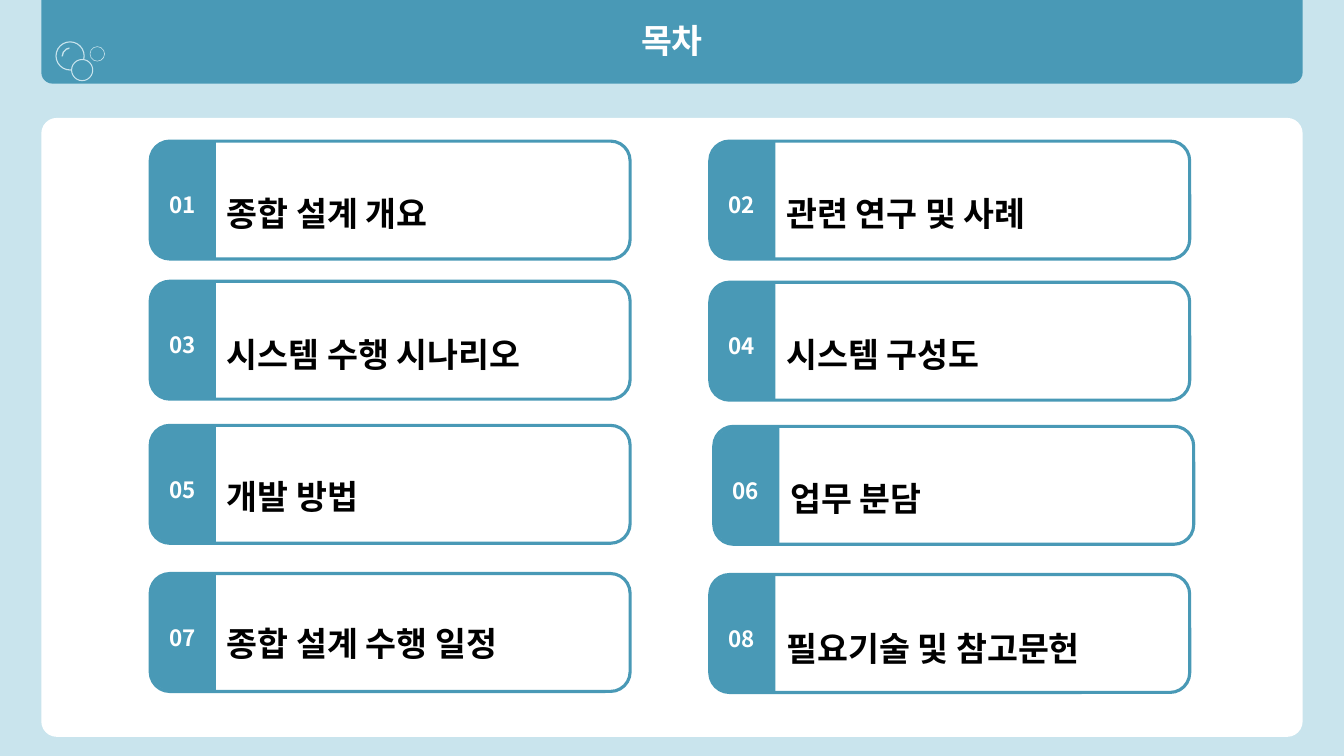
"""Build the table-of-contents slide with eight numbered cards."""
import math

import pptx
import pptx.dml.color
import pptx.enum.shapes
import pptx.enum.text
import pptx.oxml
import pptx.oxml.ns
import pptx.util

Inches = pptx.util.Inches
MSO = pptx.enum.shapes.MSO_SHAPE
ALIGN = pptx.enum.text.PP_ALIGN
RGBColor = pptx.dml.color.RGBColor
TEAL = RGBColor(0x49, 0x99, 0xB6)
PALE = RGBColor(0xC9, 0xE4, 0xED)
WHITE = RGBColor(0xFF, 0xFF, 0xFF)
BLACK = RGBColor(0, 0, 0)
FONT = "Noto Sans CJK KR"

prs = pptx.Presentation()
prs.slide_width, prs.slide_height = Inches(13.33), Inches(7.5)
s = prs.slides.add_slide(prs.slide_layouts[6])
s.background.fill.solid()
s.background.fill.fore_color.rgb = PALE


def add_shape(kind, left, top, width, height, fill, adj=(), line=None, weight=0):
    sp = s.shapes.add_shape(kind, Inches(left), Inches(top), Inches(width), Inches(height))
    sp.shadow.inherit = False
    for i, value in enumerate(adj):
        sp.adjustments[i] = value
    sp.fill.solid()
    sp.fill.fore_color.rgb = fill
    if line is None:
        sp.line.fill.background()
    else:
        sp.line.color.rgb = line
        sp.line.width = pptx.util.Pt(weight)
    return sp


def set_text(sp, text, size, color):
    p = sp.text_frame.paragraphs[0]
    p.text = text
    p.font.size = pptx.util.Pt(size)
    p.font.bold = True
    p.font.color.rgb = color
    p.font.name = FONT
    ea = pptx.oxml.parse_xml(f'<a:ea {pptx.oxml.ns.nsdecls("a")} typeface="{FONT}"/>')
    p._p.pPr.find(pptx.oxml.ns.qn("a:defRPr")).append(ea)
    return p


add_shape(MSO.ROUNDED_RECTANGLE, 0.41, 1.17, 12.51, 6.14, WHITE, [0.025])
header = add_shape(MSO.ROUND_2_SAME_RECTANGLE, 0.41, 0, 12.51, 0.83, TEAL, [0, 0.134])
header.text_frame.vertical_anchor = pptx.enum.text.MSO_ANCHOR.MIDDLE
set_text(header, "목차", 24, WHITE).alignment = ALIGN.CENTER

add_shape(MSO.DONUT, 0.55, 0.41, 0.29, 0.29, PALE, [0.038])
add_shape(MSO.BLOCK_ARC, 0.61, 0.47, 0.18, 0.18, PALE, [108, 157.413, 0.076])
add_shape(MSO.OVAL, 0.71, 0.59, 0.21, 0.21, TEAL, line=PALE, weight=0.75)
angles = [math.radians(a) for a in range(210, 376, 5)]
rim = [(0.51 + r * math.cos(a), 0.8 + r * math.sin(a))
       for r, sweep in ((0.11, angles), (0.1, angles[::-1])) for a in sweep]
builder = s.shapes.build_freeform(*rim[0], scale=Inches(1))
builder.add_line_segments(rim[1:], close=True)
bubble = builder.convert_to_shape()
bubble.shadow.inherit = False
bubble.fill.solid()
bubble.fill.fore_color.rgb = PALE
bubble.line.fill.background()
add_shape(MSO.DONUT, 0.89, 0.46, 0.15, 0.15, PALE, [0.038])

CARD_W, CARD_H = 4.76, 1.17
TAB_W, TAB_H = 0.65, 1.16
cards = [
    (1.49, 1.4, 1.66, "종합 설계 개요"),
    (7.04, 1.4, 1.66, "관련 연구 및 사례"),
    (1.49, 2.79, 3.06, "시스템 수행 시나리오"),
    (7.04, 2.8, 3.06, "시스템 구성도"),
    (1.49, 4.22, 4.47, "개발 방법"),
    (7.08, 4.23, 4.49, "업무 분담"),
    (1.49, 5.69, 5.93, "종합 설계 수행 일정"),
    (7.04, 5.7, 5.98, "필요기술 및 참고문헌"),
]
for number, (left, top, title_top, title) in enumerate(cards, 1):
    add_shape(MSO.ROUNDED_RECTANGLE, left, top, CARD_W, CARD_H, WHITE, line=TEAL, weight=2.25)
    tab = add_shape(MSO.ROUND_2_SAME_RECTANGLE, left - (TAB_H - TAB_W) / 2,
                    top + (CARD_H - TAB_W) / 2, TAB_H, TAB_W, TEAL, [0.328, 0])
    tab.rotation = 270
    for text, x, y, width, height, size, color in (
        (f"{number:02}", left + 0.09, top + 0.45, 0.46, 0.37, 16, WHITE),
        (title, left + 0.66, title_top, 3.58, 0.63, 24, BLACK),
    ):
        box = s.shapes.add_textbox(Inches(x), Inches(y), Inches(width), Inches(height))
        tf = box.text_frame
        tf.word_wrap = text == title
        tf.auto_size = pptx.enum.text.MSO_AUTO_SIZE.SHAPE_TO_FIT_TEXT
        p = set_text(box, text, size, color)
        if text == title:
            p.line_spacing = 1.5

prs.save("out.pptx")
